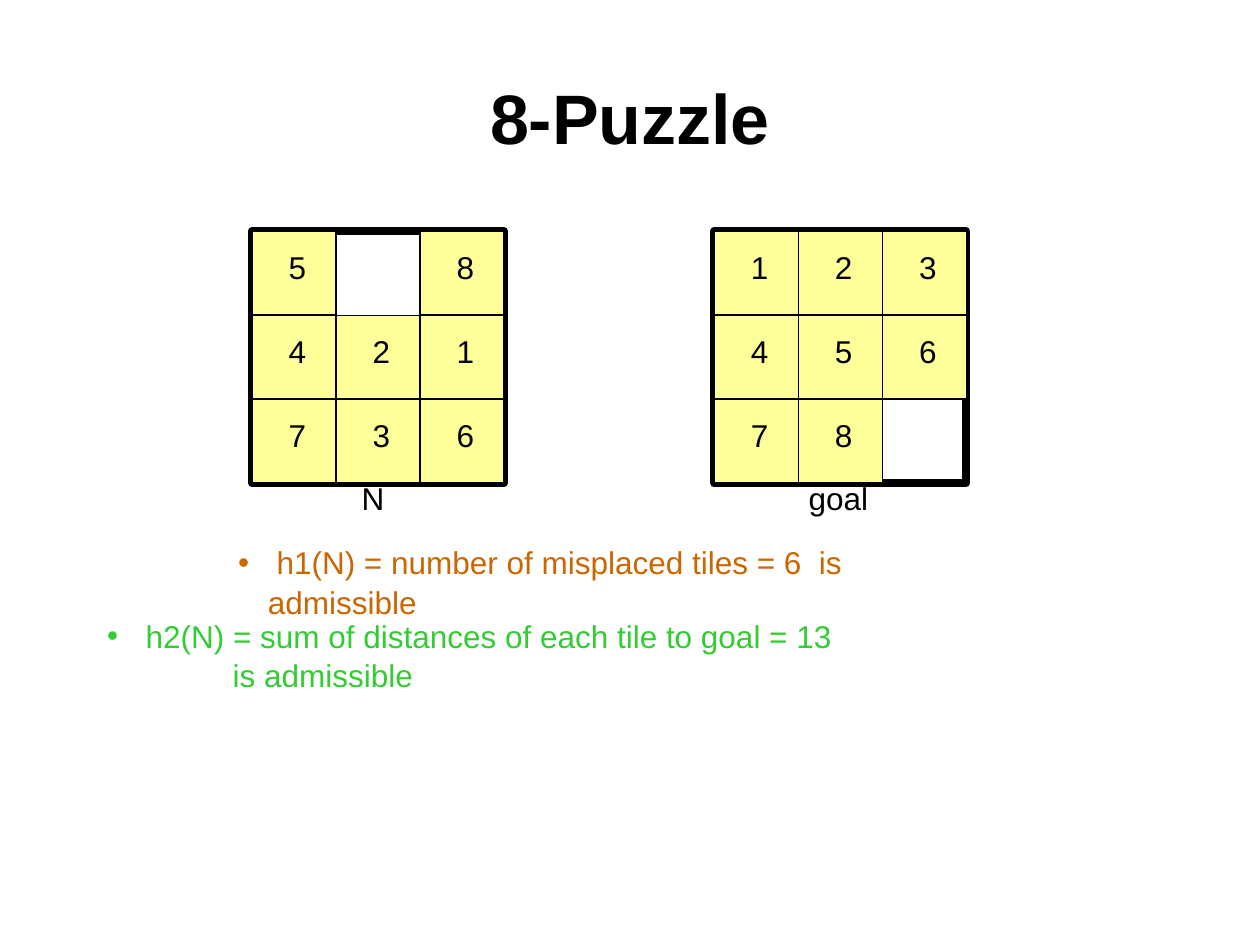
"""Build the 8-Puzzle heuristics slide."""
import pptx
import pptx.dml.color
import pptx.enum.shapes
import pptx.enum.text
import pptx.oxml
import pptx.oxml.ns
import pptx.util

Cm = pptx.util.Cm
Pt = pptx.util.Pt
RGB = pptx.dml.color.RGBColor
BLACK = RGB(0, 0, 0)
YELLOW = RGB(0xFF, 0xFF, 0x99)
ORANGE = RGB(0xCC, 0x66, 0x00)
GREEN = RGB(0x33, 0xCC, 0x33)
NS = pptx.oxml.ns.nsdecls("a")


def style(para, size, color=BLACK, bold=False):
    """Set the font of a paragraph."""
    font = para.font
    font.name, font.size, font.bold = "Arial", Pt(size), bold
    font.color.rgb = color


def write(shapes, box, text, size=18, bold=False, wrap=False):
    """Place a text box of one paragraph and return its frame."""
    frame = shapes.add_textbox(*map(Cm, box)).text_frame
    frame.word_wrap = wrap
    frame.text = text
    style(frame.paragraphs[0], size, bold=bold)
    return frame


def square(shapes, box, width, fill=None):
    """Draw a square with a black outline."""
    shape = shapes.add_shape(pptx.enum.shapes.MSO_SHAPE.RECTANGLE, *map(Cm, box))
    shape.shadow.inherit = False
    shape.line.color.rgb = BLACK
    shape.line.width = Pt(width)
    if fill is None:
        shape.fill.background()
    else:
        shape.fill.solid()
        shape.fill.fore_color.rgb = fill


def title(slide, box, text):
    """Place the centred title."""
    frame = write(slide.shapes, box, text, 40, True, True)
    frame.vertical_anchor = pptx.enum.text.MSO_ANCHOR.MIDDLE
    frame.paragraphs[0].alignment = pptx.enum.text.PP_ALIGN.CENTER


def board(slide, box, rows):
    """Draw a grouped puzzle board, with a space for the hole."""
    left, top, side, _ = box
    shapes = slide.shapes.add_group_shape().shapes
    square(shapes, box, 4.5)
    cell = side / len(rows)
    tiles = [(left + col * cell, top + row * cell, digit)
             for row, line in enumerate(rows)
             for col, digit in enumerate(line) if digit != " "]
    for x, y, _ in tiles:
        square(shapes, (x, y, cell, cell), 0.75, YELLOW)
    for x, y, digit in tiles:
        write(shapes, (x + 0.49, y + 0.22, 0.86, 1.02), digit)


def bullet(slide, box, lines, color, inset=0):
    """Place a bulleted text whose later lines are inset."""
    frame = write(slide.shapes, box, lines[0], wrap=True)
    for line in lines[1:]:
        frame.add_paragraph().text = line
    for num, para in enumerate(frame.paragraphs):
        props = para._p.get_or_add_pPr()
        if num == 0:
            props.set("marL", str(Cm(0.6)))
            props.set("indent", str(Cm(-0.6)))
            for tag in (f'<a:buClr {NS}><a:srgbClr val="{color}"/></a:buClr>',
                        f'<a:buFont {NS} typeface="Arial"/>',
                        f'<a:buChar {NS} char="•"/>'):
                props.insert_element_before(
                    pptx.oxml.parse_xml(tag), "a:tabLst", "a:defRPr", "a:extLst")
        else:
            props.set("marL", str(Cm(inset)))
        para.line_spacing = 1.04
        style(para, 18, color)


def main():
    """Build and save the slide."""
    deck = pptx.Presentation()
    deck.slide_width, deck.slide_height = Cm(25.4), Cm(19.05)
    slide = deck.slides.add_slide(deck.slide_layouts[6])
    title(slide, (1.27, 0.76, 22.86, 3.18), "8-Puzzle")
    board(slide, (14.4, 4.66, 5.08, 5.08), ("123", "456", "78 "))
    board(slide, (5.08, 4.66, 5.08, 5.08), ("5 8", "421", "736"))
    write(slide.shapes, (7.04, 9.53, 0.97, 1.02), "N")
    write(slide.shapes, (16.05, 9.53, 1.7, 1.02), "goal")
    bullet(slide, (4.55, 10.8, 15.47, 1.02),
           [" h1(N) = number of misplaced tiles = 6  is admissible"], ORANGE)
    bullet(slide, (1.91, 12.28, 20.52, 1.78),
           [" h2(N) = sum of distances of each tile to goal = 13",
            "is admissible"], GREEN, 2.53)
    deck.save("out.pptx")


if __name__ == "__main__":
    main()
